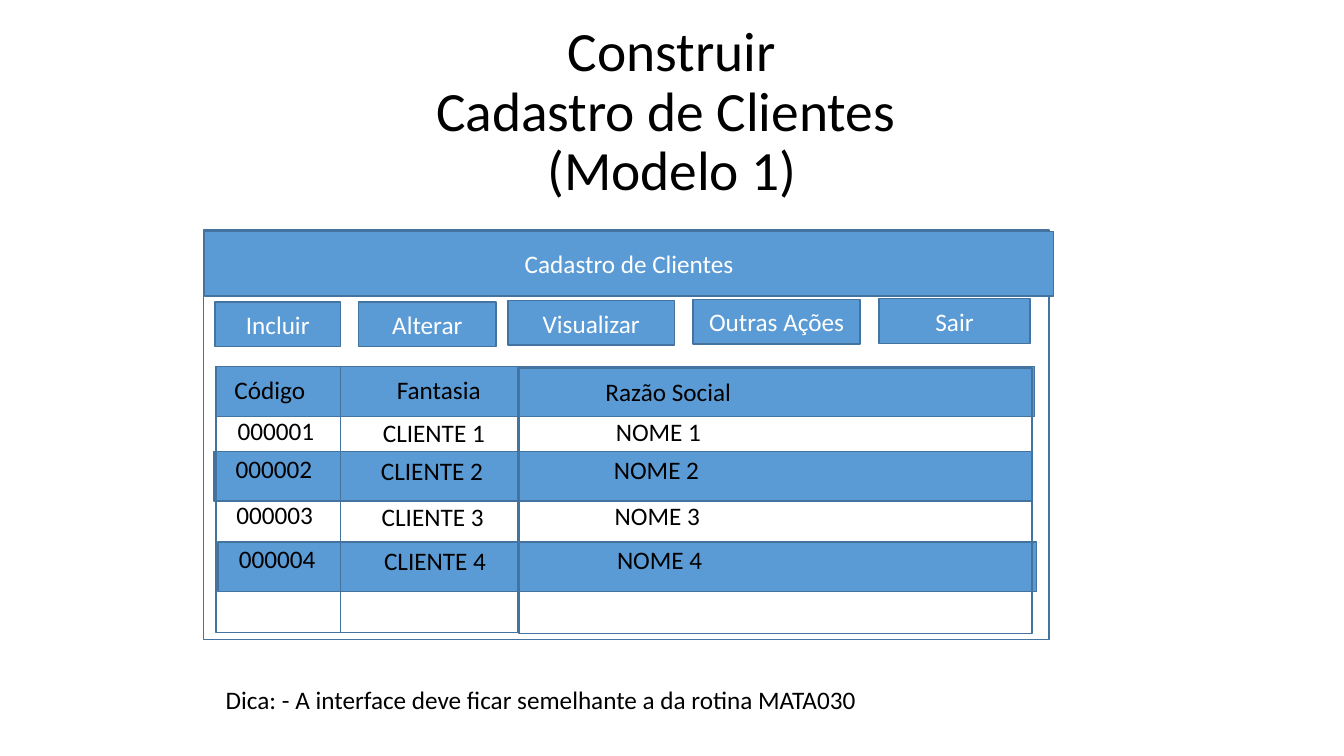
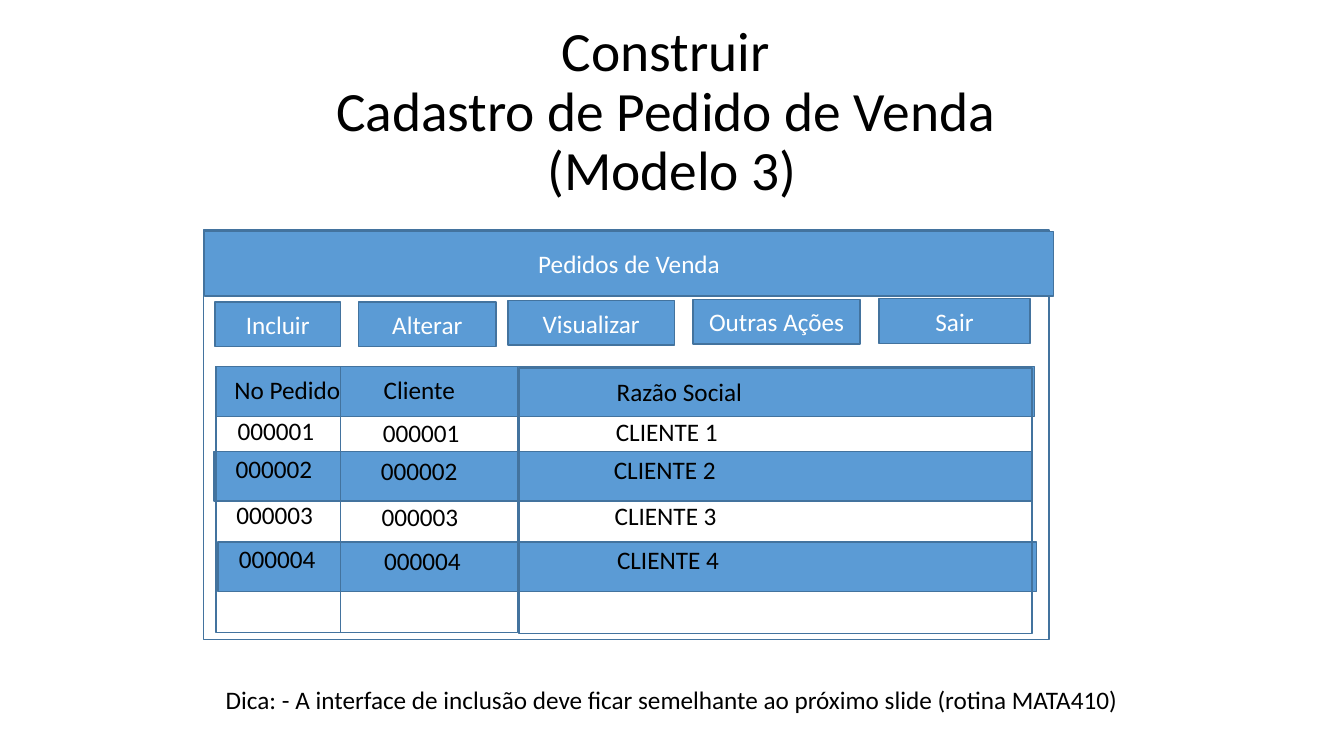
from pptx import Presentation
from pptx.dml.color import RGBColor
from pptx.enum.shapes import MSO_SHAPE
from pptx.enum.text import MSO_ANCHOR, MSO_AUTO_SIZE, PP_ALIGN
from pptx.util import Cm, Pt

RECT = MSO_SHAPE.RECTANGLE
MIDDLE = MSO_ANCHOR.MIDDLE
CENTER = PP_ALIGN.CENTER
FIT_SHAPE, NO_FIT = MSO_AUTO_SIZE.SHAPE_TO_FIT_TEXT, MSO_AUTO_SIZE.NONE
TITLE_ONLY = 5

FONT = "Calibri"
BLUE = RGBColor(0x5B, 0x9B, 0xD5)
EDGE = RGBColor(0x43, 0x73, 0x9E)
WHITE = RGBColor(0xFF, 0xFF, 0xFF)
BLACK = RGBColor(0x00, 0x00, 0x00)

# Content: headers are (text, left, width); columns are (cell texts, cell width)
CODES = ["000001", "000002", "000003", "000004"]
CLIENTS = ["CLIENTE 1", "CLIENTE 2", "CLIENTE 3", "CLIENTE 4"]
NAMES = ["NOME 1", "NOME 2", "NOME 3", "NOME 4"]
SCREENS = [
    {
        "title": "Construir\vCadastro de Clientes \v(Modelo 1)",
        "window": "Cadastro de Clientes",
        "headers": [("Código", 5.66, 2.31), ("Fantasia", 9.75, 2.64),
                    ("Razão Social", 15.01, 3.71)],
        "columns": [(CODES, 2.46), (CLIENTS, 3.1), (NAMES, 2.69)],
        "tip": ("Dica: - A interface deve ficar semelhante a da rotina MATA030", 16.43),
    },
    {
        "title": "Construir \vCadastro de Pedido de Venda \v(Modelo 3)",
        "window": "Pedidos de Venda",
        "headers": [("No Pedido", 5.66, 3.2), ("Cliente", 9.42, 2.34),
                    ("Razão Social", 15.29, 3.71)],
        "columns": [(CODES, 2.46), (CODES, 2.46), (CLIENTS, 3.1)],
        "tip": ("Dica: - A interface de inclusão deve ficar semelhante ao "
                "próximo slide (rotina MATA410)", 23.42),
    },
]

# Layout shared by both screens, in centimetres
TITLE_BOX = (2.33, 1.01, 29.21, 3.68)
WINDOW = (5.13, 5.8, 21.31, 10.31)
WINDOW_BAR = (5.16, 5.83, 21.39, 1.63)
BUTTON_HEIGHT = 1.12
BUTTONS = [  # text, left, top, width
    ("Sair", 22.15, 7.53, 3.81),
    ("Outras Ações", 17.47, 7.55, 4.2),
    ("Alterar", 9.04, 7.61, 3.46),
    ("Incluir", 5.42, 7.61, 3.16),
    ("Visualizar", 12.8, 7.58, 4.2),
]
BAND_SIZE = (20.63, 1.25)
BANDS = [(5.44, 9.24), (5.39, 11.38), (5.49, 13.66)]
COLUMN_HEIGHT = 6.7
COLUMNS = [(5.44, 9.24, 3.14), (8.58, 9.24, 4.46), (13.08, 9.27, 12.93)]
HEADER_TOPS = [9.32, 9.32, 9.37]
CELL_ORIGINS = [(5.74, 0), (9.4, 0.05), (15.27, 0.03)]  # left, drop
ROWS = [(0, 10.34), (-0.05, 11.3), (-0.03, 12.45), (0.03, 13.57)]  # shift, top
TEXT_HEIGHT = 1.03
TIP_POS = (5.44, 17.12)


def style(p, color, size=18):
    p.font.name = FONT
    p.font.size = Pt(size)
    p.font.color.rgb = color


def add_title(slide, text):
    sp = slide.shapes.title
    sp.left, sp.top, sp.width, sp.height = map(Cm, TITLE_BOX)
    tf = sp.text_frame
    tf.auto_size = NO_FIT
    tf.vertical_anchor = MIDDLE
    p = tf.paragraphs[0]
    p.text = text
    p.alignment = CENTER
    p.line_spacing = 0.9
    style(p, BLACK, 39.6)


def add_rect(slide, box, fill=BLUE, text=None):
    sp = slide.shapes.add_shape(RECT, *map(Cm, box))
    sp.shadow.inherit = False
    if fill is None:
        sp.fill.background()
    else:
        sp.fill.solid()
        sp.fill.fore_color.rgb = fill
    sp.line.color.rgb = EDGE
    sp.line.width = Pt(1)
    if text:
        tf = sp.text_frame
        tf.vertical_anchor = MIDDLE
        p = tf.paragraphs[0]
        p.text = text
        p.alignment = CENTER
        style(p, WHITE)


def add_label(slide, text, left, top, width):
    box = (left, top, width, TEXT_HEIGHT)
    tf = slide.shapes.add_textbox(*map(Cm, box)).text_frame
    tf.word_wrap = False
    tf.auto_size = FIT_SHAPE
    p = tf.paragraphs[0]
    p.text = text
    style(p, BLACK)


def build_screen(prs, screen):
    slide = prs.slides.add_slide(prs.slide_layouts[TITLE_ONLY])
    add_title(slide, screen["title"])

    # Window and its buttons
    add_rect(slide, WINDOW, WHITE)
    add_rect(slide, WINDOW_BAR, text=screen["window"])
    for text, left, top, width in BUTTONS:
        add_rect(slide, (left, top, width, BUTTON_HEIGHT), text=text)

    # Grid: bands, headers, column outlines, then cells
    for pos in BANDS:
        add_rect(slide, pos + BAND_SIZE)
    for (text, left, width), top in zip(screen["headers"], HEADER_TOPS):
        add_label(slide, text, left, top, width)
    for column in COLUMNS:
        add_rect(slide, column + (COLUMN_HEIGHT,), fill=None)
    for (cells, width), (left, drop) in zip(screen["columns"], CELL_ORIGINS):
        for text, (shift, top) in zip(cells, ROWS):
            add_label(slide, text, left + shift, top + drop, width)

    # Tip below the window
    text, width = screen["tip"]
    add_label(slide, text, *TIP_POS, width)


def main():
    prs = Presentation()
    prs.slide_width, prs.slide_height = Cm(33.87), Cm(19.05)
    for screen in SCREENS:
        build_screen(prs, screen)
    prs.save("out.pptx")


if __name__ == "__main__":
    main()
